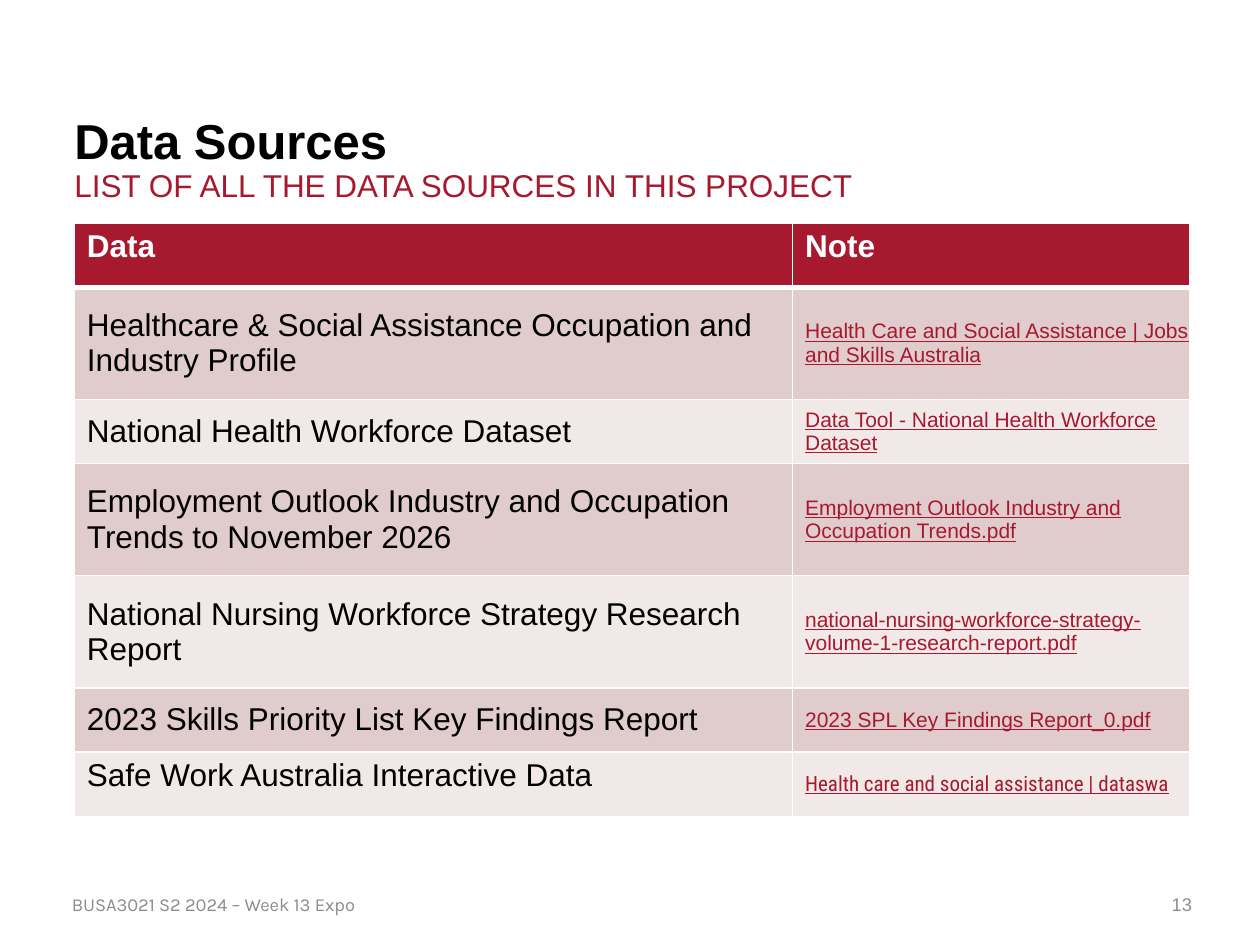
from lxml import etree
from pptx import Presentation
from pptx.dml.color import RGBColor
from pptx.enum import text
from pptx.oxml import ns
from pptx.util import Inches, Pt

CRIMSON = RGBColor(0xA6, 0x19, 0x2E)
ROSE = RGBColor(0xE1, 0xCC, 0xCD)
BLUSH = RGBColor(0xF1, 0xE8, 0xE8)
BLACK = RGBColor(0, 0, 0)
WHITE = RGBColor(0xFF, 0xFF, 0xFF)
GREY = RGBColor(0x8C, 0x8C, 0x8C)

SOURCES = [
    ("Healthcare & Social Assistance Occupation and Industry Profile",
     "Health Care and Social Assistance | Jobs and Skills Australia"),
    ("National Health Workforce Dataset",
     "Data Tool - National Health Workforce Dataset"),
    ("Employment Outlook Industry and Occupation Trends to November 2026",
     "Employment Outlook Industry and Occupation Trends.pdf"),
    ("National Nursing Workforce Strategy Research Report",
     "national-nursing-workforce-strategy-volume-1-research-report.pdf"),
    ("2023 Skills Priority List Key Findings Report",
     "2023 SPL Key Findings Report_0.pdf"),
    ("Safe Work Australia Interactive Data",
     "Health care and social assistance | dataswa"),
]
ROW_HEIGHTS = [0.51, 0.89, 0.51, 0.89, 0.89, 0.51, 0.51]
COLUMN_WIDTHS = [5.7, 3.15]


def style_font(font, size, color, name="Arial", bold=False, underline=False):
    """Set the size, colour, typeface and emphasis of a font."""
    font.size, font.name = Pt(size), name
    font.bold, font.underline = bold, underline
    font.color.rgb = color


def add_label(page, box, wording, size, color, name="Arial", bold=False,
              anchor=text.MSO_ANCHOR.TOP, align=text.PP_ALIGN.LEFT):
    """Place one line of text without insets in the given box."""
    frame = page.shapes.add_textbox(*map(Inches, box)).text_frame
    frame.word_wrap = True
    frame.vertical_anchor = anchor
    frame.margin_left = frame.margin_right = 0
    frame.margin_top = frame.margin_bottom = 0
    para = frame.paragraphs[0]
    para.text, para.alignment = wording, align
    style_font(para.font, size, color, name, bold)


def set_borders(cell, top, bottom):
    """Draw white borders around a cell, with top and bottom widths in points."""
    properties = cell._tc.get_or_add_tcPr()
    widths = {"a:lnL": 1, "a:lnR": 1, "a:lnT": top, "a:lnB": bottom}
    for position, (tag, width) in enumerate(widths.items()):
        line = etree.Element(ns.qn(tag), w=str(Pt(width)))
        fill = etree.SubElement(line, ns.qn("a:solidFill"))
        etree.SubElement(fill, ns.qn("a:srgbClr"), val=str(WHITE))
        properties.insert(position, line)


def fill_cell(cell, wording, fill, anchor, **font):
    """Write a table cell with its background, anchor and font."""
    cell.fill.solid()
    cell.fill.fore_color.rgb = fill
    cell.vertical_anchor = anchor
    para = cell.text_frame.paragraphs[0]
    para.text = wording
    style_font(para.font, **font)


def add_header(page, left, top, width):
    """Place the title and the subtitle beneath it."""
    add_label(page, (left, top, width, 0.45), "Data Sources", 28, BLACK, bold=True)
    add_label(page, (left, top + 0.44, width, 0.36),
              "LIST OF ALL THE DATA SOURCES IN THIS PROJECT", 18, CRIMSON)


def add_sources_table(page, left, top):
    """Build the table of data sources and their notes."""
    box = map(Inches, (left, top, sum(COLUMN_WIDTHS), sum(ROW_HEIGHTS)))
    table = page.shapes.add_table(len(ROW_HEIGHTS), len(COLUMN_WIDTHS), *box).table
    for column, width in zip(table.columns, COLUMN_WIDTHS):
        column.width = Inches(width)
    for row, height in zip(table.rows, ROW_HEIGHTS):
        row.height = Inches(height)

    for column, heading in enumerate(("Data", "Note")):
        cell = table.cell(0, column)
        fill_cell(cell, heading, CRIMSON, text.MSO_ANCHOR.TOP,
                  size=18, color=WHITE, bold=True)
        set_borders(cell, 1, 3)

    for index, (source, note) in enumerate(SOURCES, start=1):
        is_last = index == len(SOURCES)
        fill = ROSE if index % 2 else BLUSH
        source_cell, note_cell = table.cell(index, 0), table.cell(index, 1)
        fill_cell(source_cell, source, fill,
                  text.MSO_ANCHOR.TOP if is_last else text.MSO_ANCHOR.MIDDLE,
                  size=18, color=BLACK)
        fill_cell(note_cell, note, fill, text.MSO_ANCHOR.MIDDLE,
                  size=12, color=CRIMSON, underline=True,
                  name="Roboto Condensed" if is_last else "Arial")
        note_cell.margin_left = Inches(0.1)
        note_cell.margin_right = note_cell.margin_top = note_cell.margin_bottom = 0
        for cell in (source_cell, note_cell):
            set_borders(cell, 3 if index == 1 else 1, 1)


def add_footer(page, left, top, width):
    """Place the course name at the left and the page number at the right."""
    middle = text.MSO_ANCHOR.MIDDLE
    add_label(page, (left, top, 4.35, 0.4), "BUSA3021 S2 2024 – Week 13 Expo",
              10.5, GREY, "Karla", anchor=middle)
    add_label(page, (left + width - 0.35, top, 0.35, 0.4), "13", 10.5, GREY,
              anchor=middle, align=text.PP_ALIGN.RIGHT)


def main():
    """Build and save the deck."""
    deck = Presentation()
    deck.slide_width, deck.slide_height = Inches(10), Inches(7.5)
    page = deck.slides.add_slide(deck.slide_layouts[6])
    add_header(page, 0.59, 0.88, 7.01)
    add_sources_table(page, 0.59, 1.77)
    add_footer(page, 0.57, 6.98, 8.89)
    deck.save("out.pptx")


if __name__ == "__main__":
    main()
